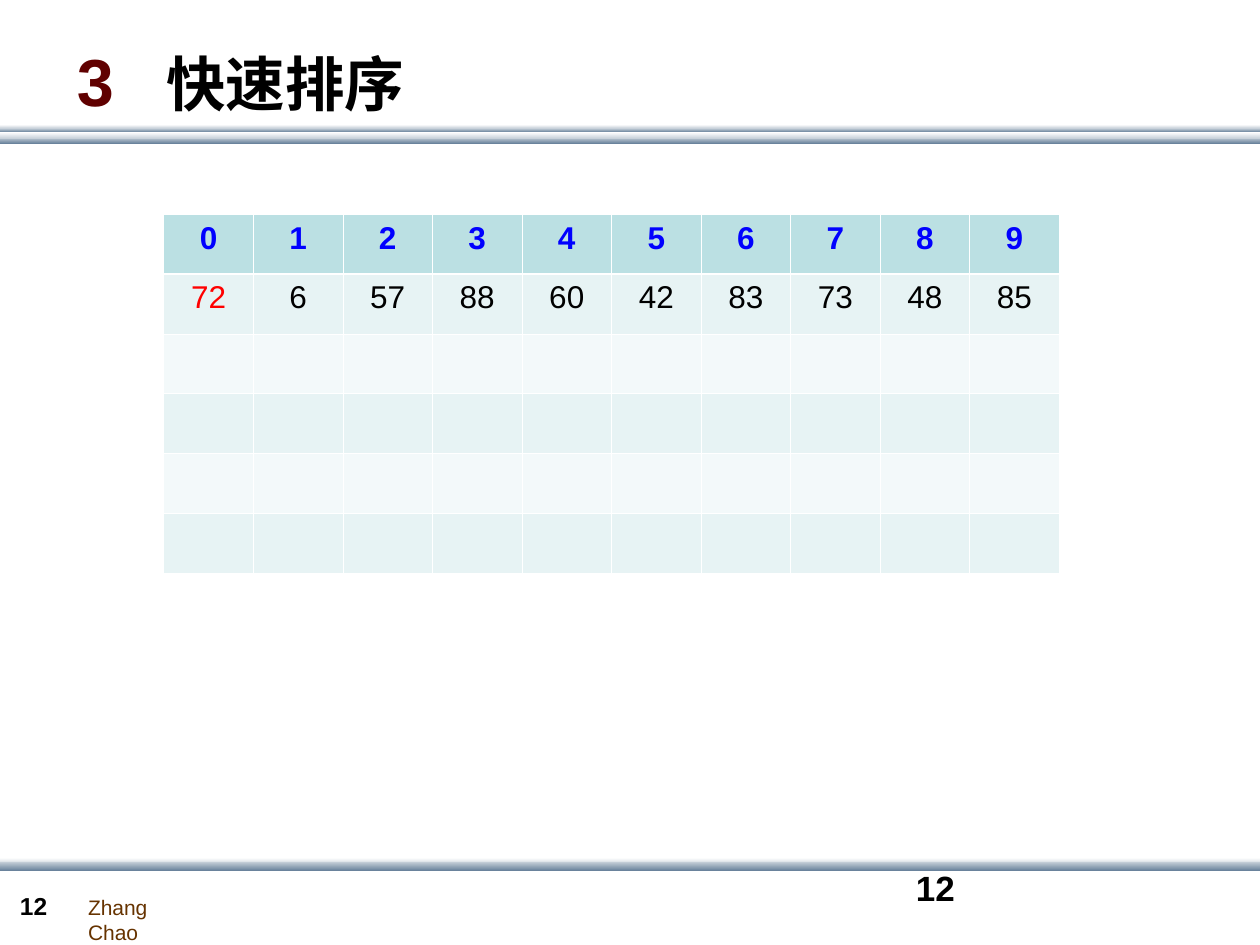
from lxml import etree
from pptx import Presentation
from pptx.dml.color import RGBColor
from pptx.enum import shapes, text
from pptx.oxml import ns
from pptx.util import Inches, Pt

FONT = "Arial"
TITLE = [("3\t", 38, "600000"), ("快速排序", 34, "000000")]
TITLE_TAB = 0.71

INDEXES = range(10)
VALUES = [72, 6, 57, 88, 60, 42, 83, 73, 48, 85]
EMPTY_ROWS = 4
PIVOT = 0
TABLE_BOX = (1.3, 1.7, 7.11, 2.85)
HEADER_FILL, ODD_FILL, EVEN_FILL = "BBE0E3", "E7F3F4", "F3F9FA"
THIN, THICK = 0.45, 1.47

LIGHT = ("FFFFFF", "C8D1DA")
DARK = ("C8D1DA", "6A839C")
BANDS = [  # top, height, gradient
    (1.09, 0.05, DARK),
    (1.02, 0.03, DARK),
    (1.05, 0.05, LIGHT),
    (0.99, 0.03, LIGHT),
    (6.81, 0.05, LIGHT),
    (6.84, 0.07, DARK),
]

FOOTERS = [  # text, box, size, colour, bold, wrap
    ("Zhang Chao", (0.6, 7.05, 1.11, 0.3), 12, "663300", False, False),
    ("12", (0.06, 7.02, 0.55, 0.34), 14, "000000", True, True),
    ("12", (7.17, 6.83, 2.33, 0.5), 20, "000000", True, True),
]


def rgb(value):
    return RGBColor.from_string(value)


def style(font, size, colour, bold):
    font.name = FONT
    font.size = Pt(size)
    font.bold = bold
    font.color.rgb = rgb(colour)


def add_band(page, top, height, colours):
    band = page.shapes.add_shape(
        shapes.MSO_SHAPE.RECTANGLE, 0, Inches(top), Inches(10.01), Inches(height))
    band.shadow.inherit = False
    band.line.fill.background()
    band.fill.gradient()
    band.fill.gradient_angle = 270
    for stop, colour in zip(band.fill.gradient_stops, colours):
        stop.color.rgb = rgb(colour)


def add_footer(page, words, place, size, colour, bold, wrap):
    box = page.shapes.add_textbox(*map(Inches, place))
    box.text_frame.word_wrap = wrap
    para = box.text_frame.paragraphs[0]
    para.text = words
    style(para.font, size, colour, bold)


def fill_title(title):
    title.left, title.top, title.width, title.height = map(
        Inches, (0.51, 0.21, 9, 0.85))
    frame = title.text_frame
    frame.auto_size = text.MSO_AUTO_SIZE.NONE
    frame.vertical_anchor = text.MSO_ANCHOR.MIDDLE
    para = frame.paragraphs[0]
    para.alignment = text.PP_ALIGN.LEFT
    tabs = etree.SubElement(para._p.get_or_add_pPr(), ns.qn("a:tabLst"))
    etree.SubElement(tabs, ns.qn("a:tab"), pos=str(Inches(TITLE_TAB)), algn="l")
    for words, size, colour in TITLE:
        span = para.add_run()
        span.text = words
        style(span.font, size, colour, True)


def add_borders(cell, row):
    """Draw white cell edges, heavier between the header and the body."""
    widths = {
        "L": THIN,
        "R": THIN,
        "T": THICK if row == 1 else THIN,
        "B": THICK if row == 0 else THIN,
    }
    for side, width in widths.items():
        line = etree.SubElement(
            cell._tc.get_or_add_tcPr(), ns.qn(f"a:ln{side}"), w=str(Pt(width)))
        fill = etree.SubElement(line, ns.qn("a:solidFill"))
        etree.SubElement(fill, ns.qn("a:srgbClr"), val="FFFFFF")


def add_sort_table(page):
    rows = [INDEXES, VALUES] + [[""] * len(VALUES)] * EMPTY_ROWS
    left, top, width, height = map(Inches, TABLE_BOX)
    table = page.shapes.add_table(
        len(rows), len(VALUES), left, top, width, height).table
    for r, row in enumerate(rows):
        row_fill = HEADER_FILL if r == 0 else ODD_FILL if r % 2 else EVEN_FILL
        for c, value in enumerate(row):
            cell = table.cell(r, c)
            add_borders(cell, r)
            cell.fill.solid()
            cell.fill.fore_color.rgb = rgb(row_fill)
            para = cell.text_frame.paragraphs[0]
            para.text = str(value)
            para.alignment = text.PP_ALIGN.CENTER
            colour = "0000FF" if r == 0 else "FF0000" if (r, c) == (1, PIVOT) else "000000"
            style(para.font, 18, colour, r == 0)


def main():
    deck = Presentation()
    deck.slide_width, deck.slide_height = Inches(10), Inches(7.5)
    page = deck.slides.add_slide(deck.slide_layouts[5])
    for band in BANDS:
        add_band(page, *band)
    for footer in FOOTERS:
        add_footer(page, *footer)
    fill_title(page.shapes.title)
    add_sort_table(page)
    deck.save("out.pptx")


if __name__ == "__main__":
    main()
